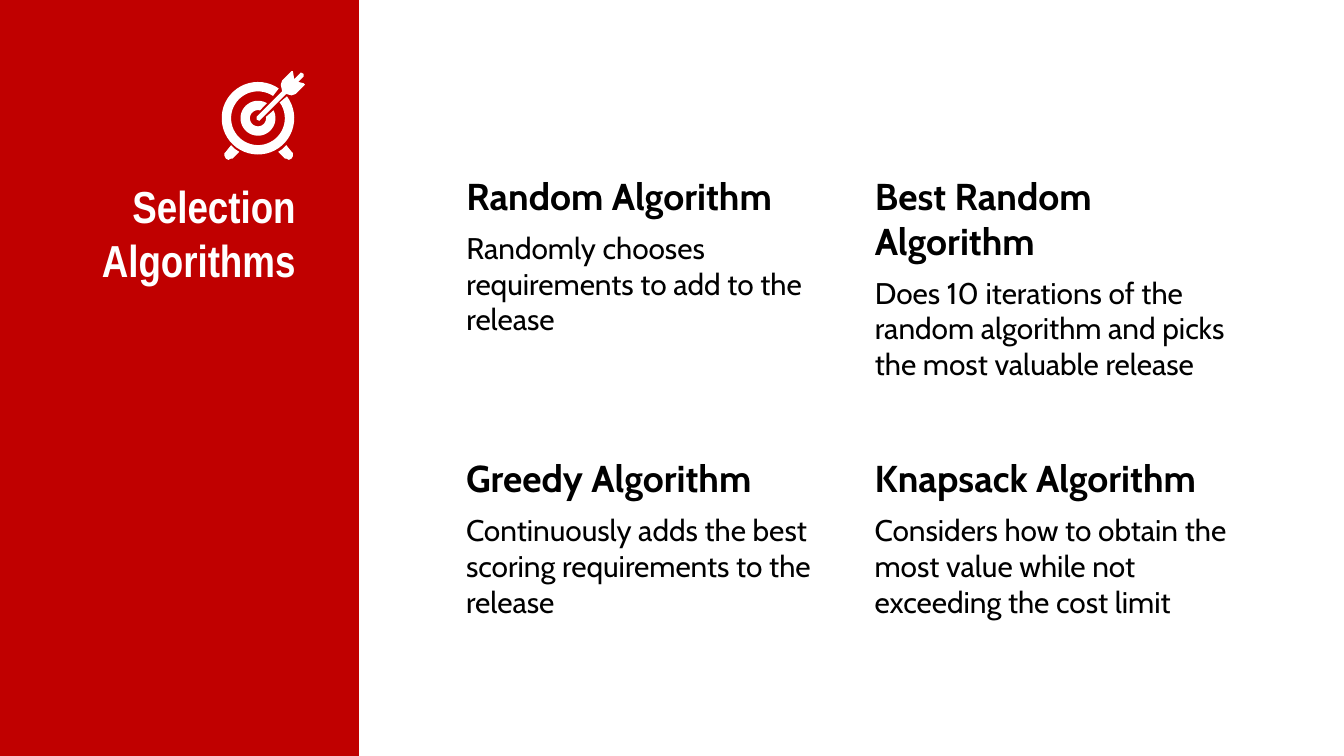
"""Build the slide on selection algorithms."""
from math import cos, radians, sin

from lxml import etree
from pptx import Presentation
from pptx.dml.color import RGBColor
from pptx.enum.shapes import MSO_SHAPE
from pptx.enum.text import MSO_ANCHOR, MSO_AUTO_SIZE, PP_ALIGN
from pptx.oxml.ns import qn
from pptx.util import Inches, Pt

RECTANGLE = MSO_SHAPE.RECTANGLE
TOP, NO_FIT = MSO_ANCHOR.TOP, MSO_AUTO_SIZE.NONE
LEFT, RIGHT = PP_ALIGN.LEFT, PP_ALIGN.RIGHT

COLORS = {"panel": "C00000", "white": "FFFFFF", "text": "000000"}
TITLE = "Selection Algorithms"
ALGORITHMS = [
    ("Random Algorithm", "Randomly chooses requirements to add to the release"),
    ("Best Random Algorithm",
     "Does 10 iterations of the random algorithm and picks the most valuable release"),
    ("Greedy Algorithm", "Continuously adds the best scoring requirements to the release"),
    ("Knapsack Algorithm",
     "Considers how to obtain the most value while not exceeding the cost limit"),
]
GRID_LEFT, GRID_TOP, COLUMN_STEP, ROW_STEP = 3.37, 1.19, 3.04, 2.1
BOX_WIDTH, BOX_HEIGHT = 2.87, 1.91

CENTER_X, CENTER_Y = 1.92, 0.88
RINGS = [
    {"outer": (0.27, 37, 55), "inner": (0.2, 36, 56)},
    {"outer": (0.13, 27, 59), "inner": (0.06, 9, 76)},
]
LEFT_FOOT = [(1.72, 1.08), (1.68, 1.13), (1.67, 1.14), (1.67, 1.16), (1.68, 1.18),
             (1.7, 1.19), (1.72, 1.18), (1.73, 1.18), (1.78, 1.13), (1.75, 1.11)]
RIGHT_FOOT = [(2 * CENTER_X - x + 0.01, y) for x, y in LEFT_FOOT]
DART = [(2.17, 0.53), (2.1, 0.6), (2.09, 0.63), (2.1, 0.68), (1.91, 0.87),
        (1.91, 0.89), (1.93, 0.9), (2.13, 0.7), (2.17, 0.71), (2.2, 0.7),
        (2.27, 0.63), (2.26, 0.62), (2.22, 0.61), (2.26, 0.57), (2.26, 0.55),
        (2.24, 0.54), (2.19, 0.59), (2.18, 0.53)]


def color(name):
    return RGBColor.from_string(COLORS[name])


def paint(shape, name):
    shape.fill.solid()
    shape.fill.fore_color.rgb = color(name)
    shape.line.fill.background()
    shape.shadow.inherit = False


def arc(radius, start, end, steps=48):
    angles = [radians(start + (end - start) * step / steps) for step in range(steps + 1)]
    return [(CENTER_X + radius * cos(angle), CENTER_Y - radius * sin(angle))
            for angle in angles]


def open_ring(outer, inner):
    radius, low, high = outer
    hole, hole_low, hole_high = inner
    return arc(radius, high, low + 360) + arc(hole, hole_low + 360, hole_high)


def add_outline(group, points):
    corners = [(Inches(x), Inches(y)) for x, y in points]
    builder = group.shapes.build_freeform(*corners[0])
    builder.add_line_segments(corners[1:])
    paint(builder.convert_to_shape(), "white")


def place(box, left, top, width, height):
    box.left, box.top = Inches(left), Inches(top)
    box.width, box.height = Inches(width), Inches(height)
    frame = box.text_frame
    frame.word_wrap, frame.auto_size, frame.vertical_anchor = True, NO_FIT, TOP
    frame.margin_left = frame.margin_right = Inches(0.1)
    frame.margin_top = frame.margin_bottom = Inches(0.1)


def style(para, font, size, name, bold, align, before):
    para.alignment, para.space_before = align, Pt(before)
    for span in para.runs:
        span.font.name, span.font.size, span.font.bold = font, Pt(size), bold
        span.font.color.rgb = color(name)


def fill_algorithm(box, heading, detail):
    box.text_frame.text = f"{heading}\n{detail}"
    for para, size, bold in zip(box.text_frame.paragraphs, (20, 16), (True, False)):
        style(para, "Cabin", size, "text", bold, LEFT, 6)
        properties = para._p.get_or_add_pPr()
        properties.set("marL", "0")
        properties.set("indent", "0")
        etree.SubElement(properties, qn("a:buNone"))


def main():
    deck = Presentation()
    deck.slide_width = Inches(10)
    deck.slide_height = deck.slide_width * 9 // 16
    slide = deck.slides.add_slide(deck.slide_layouts[3])
    shapes = slide.shapes

    panel = shapes.add_shape(RECTANGLE, Inches(-0.16), Inches(-0.1), Inches(2.83), Inches(6.4))
    paint(panel, "panel")
    panel.element.getparent().insert(2, panel.element)

    title = shapes.title
    place(title, 0.44, 1.23, 1.86, 1.62)
    title.text_frame.text = TITLE
    style(title.text_frame.paragraphs[0], "Arial Narrow", 24, "white", True, RIGHT, 0)

    icon = shapes.add_group_shape()
    rings = [open_ring(**ring) for ring in RINGS]
    for points in rings + [LEFT_FOOT, RIGHT_FOOT, DART]:
        add_outline(icon, points)

    boxes = [slide.placeholders[1], slide.placeholders[2]]
    boxes += [shapes.add_textbox(0, 0, 0, 0) for _ in ALGORITHMS[2:]]
    for index, (box, algorithm) in enumerate(zip(boxes, ALGORITHMS)):
        row, column = divmod(index, 2)
        place(box, GRID_LEFT + column * COLUMN_STEP, GRID_TOP + row * ROW_STEP,
              BOX_WIDTH, BOX_HEIGHT)
        fill_algorithm(box, *algorithm)

    deck.save("out.pptx")


if __name__ == "__main__":
    main()
